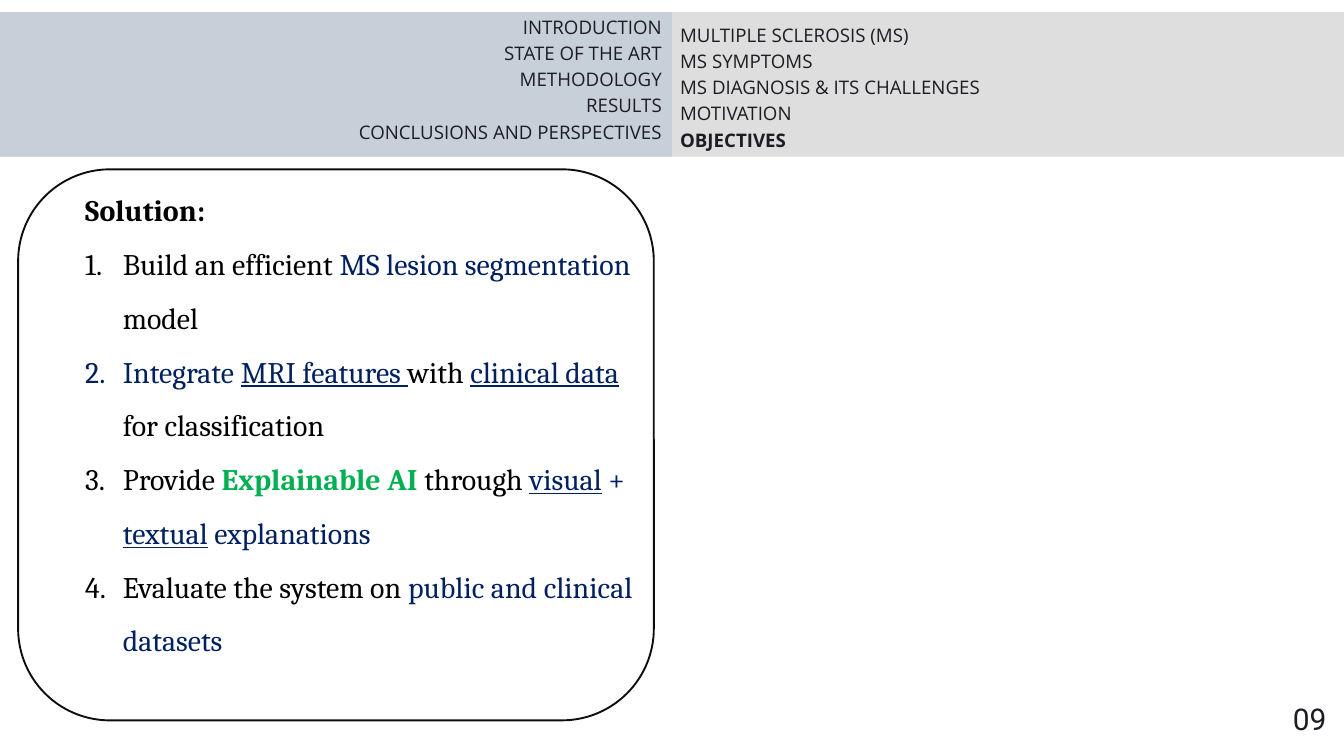
from lxml.etree import SubElement
from pptx import Presentation
from pptx.dml.color import RGBColor
from pptx.enum.shapes import MSO_SHAPE
from pptx.enum.text import MSO_AUTO_SIZE, PP_ALIGN
from pptx.oxml.ns import qn
from pptx.util import Pt

PX = 9144
WHITE = RGBColor(0xFF, 0xFF, 0xFF)
BLACK = RGBColor(0, 0, 0)
EDGE = RGBColor(0x0D, 0x0D, 0x0D)
INK = RGBColor(0x1D, 0x1C, 0x24)
GREY = RGBColor(0xDE, 0xDE, 0xDE)
STEEL = RGBColor(0xC7, 0xD0, 0xD8)
NAVY = RGBColor(0x00, 0x20, 0x60)
GREEN = RGBColor(0x00, 0xB0, 0x50)

PARTS = ["INTRODUCTION", "STATE OF THE ART", "METHODOLOGY", "RESULTS",
         "CONCLUSIONS AND PERSPECTIVES"]
TOPICS = ["MULTIPLE SCLEROSIS (MS)", "MS SYMPTOMS",
          "MS DIAGNOSIS & ITS CHALLENGES", "MOTIVATION", "OBJECTIVES"]
GOALS = [
    [("Build an efficient ", BLACK, ""), ("MS lesion segmentation ", NAVY, ""),
     ("model", BLACK, "")],
    [("Integrate ", NAVY, ""), ("MRI features ", NAVY, "u"),
     ("with ", BLACK, ""), ("clinical data", NAVY, "u"),
     (" for classification", BLACK, "")],
    [("Provide ", BLACK, ""), ("Explainable AI", GREEN, "b"),
     (" through ", BLACK, ""), ("visual", NAVY, "u"), (" + ", NAVY, ""),
     ("textual", NAVY, "u"), (" explanations", NAVY, "")],
    [("Evaluate the system on ", BLACK, ""),
     ("public and clinical datasets", NAVY, "")],
]


def scale(*box):
    """Turn px lengths into EMU."""
    return [length * PX for length in box]


def add_panel(slide, kind, box, fill, edge=None):
    """Add a filled shape, outlined if an edge colour is given."""
    panel = slide.shapes.add_shape(kind, *scale(*box))
    panel.shadow.inherit = False
    panel.fill.solid()
    panel.fill.fore_color.rgb = fill
    if edge is None:
        panel.line.fill.background()
    else:
        panel.line.color.rgb = edge
        panel.line.width = Pt(2)


def add_frame(slide, box, inset=True):
    """Add a wrapping text box and return its text frame."""
    frame = slide.shapes.add_textbox(*scale(*box)).text_frame
    frame.word_wrap = True
    frame.auto_size = MSO_AUTO_SIZE.SHAPE_TO_FIT_TEXT
    if not inset:
        frame.margin_left = frame.margin_right = 0
        frame.margin_top = frame.margin_bottom = 0
    return frame


def next_para(frame):
    """Return the empty first paragraph or a new one."""
    first = frame.paragraphs[0]
    return frame.add_paragraph() if first.runs else first


def set_font(font, name, size, color):
    """Set the face, size and colour of a font."""
    font.name = name
    font.size = Pt(size)
    font.color.rgb = color


def add_lines(slide, box, lines, align, face="Open Sans", size=20, pitch=28,
              strong=None):
    """Add plain lines at a fixed pitch, with one of them bold."""
    frame = add_frame(slide, box, inset=False)
    for line in lines:
        para = next_para(frame)
        para.add_run().text = line
        para.alignment = align
        para.line_spacing = Pt(pitch)
        set_font(para.font, face, size, INK)
        if line == strong:
            para.font.bold = True


def add_goals(slide, box, title, goals):
    """Add a bold title and a numbered list of styled runs."""
    frame = add_frame(slide, box)
    head = next_para(frame)
    head.add_run().text = title
    head.line_spacing = 1.5
    set_font(head.font, "Cambria", 32, BLACK)
    head.font.bold = True
    for goal in goals:
        para = next_para(frame)
        props = para._p.get_or_add_pPr()
        props.set("marL", str(56 * PX))
        props.set("indent", str(-56 * PX))
        SubElement(props, qn("a:buFont"), typeface="+mj-lt")
        SubElement(props, qn("a:buAutoNum"), type="arabicPeriod")
        para.line_spacing = 1.5
        for text, color, style in goal:
            run = para.add_run()
            run.text = text
            set_font(run.font, "Cambria", 32, color)
            run.font.bold = style == "b"
            run.font.underline = style == "u"


def main():
    """Build the objectives slide."""
    deck = Presentation()
    deck.slide_width, deck.slide_height = scale(2000, 1125)
    slide = deck.slides.add_slide(deck.slide_layouts[6])
    add_panel(slide, MSO_SHAPE.RECTANGLE, (0, 18, 2000, 215), GREY)
    add_panel(slide, MSO_SHAPE.RECTANGLE, (0, 18, 1000, 215), STEEL)
    add_lines(slide, (15, 18, 970, 233), PARTS, PP_ALIGN.RIGHT)
    add_panel(slide, MSO_SHAPE.ROUNDED_RECTANGLE, (27, 252, 946, 820),
              WHITE, EDGE)
    add_goals(slide, (117, 254, 853, 727), "Solution:", GOALS)
    add_lines(slide, (1012, 30, 958, 194), TOPICS, PP_ALIGN.JUSTIFY,
              strong="OBJECTIVES")
    add_lines(slide, (1924, 1051, 56, 48), ["09"], PP_ALIGN.LEFT,
              "Roboto", 32, 32)
    deck.save("out.pptx")


if __name__ == "__main__":
    main()
